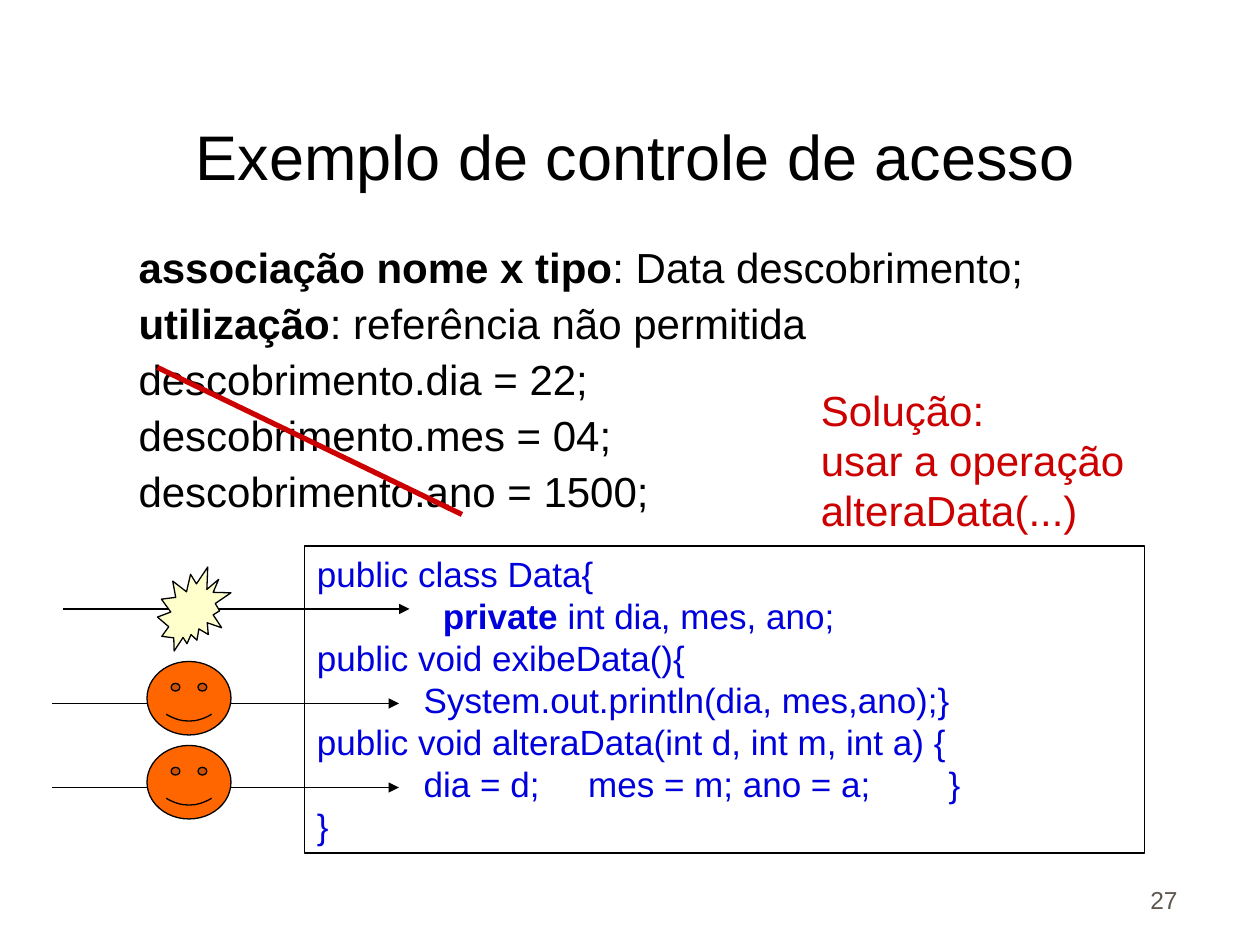
from lxml import etree
from pptx import Presentation
from pptx.dml.color import RGBColor
from pptx.enum.shapes import MSO_CONNECTOR as Link, MSO_SHAPE as Kind
from pptx.enum.text import MSO_ANCHOR as Anchor, PP_ALIGN as Align
from pptx.oxml.ns import qn
from pptx.util import Pt

BLACK = RGBColor(0x00, 0x00, 0x00)
BLUE = RGBColor(0x00, 0x00, 0xDD)
RED = RGBColor(0xCC, 0x00, 0x00)
GRAY = RGBColor(0x5E, 0x57, 0x4E)
CREAM = RGBColor(0xFF, 0xFF, 0xCC)
ORANGE = RGBColor(0xFF, 0x66, 0x00)

BODY = [
    [("associação nome x tipo", True), (": Data descobrimento;", False)],
    [("utilização", True), (": referência não permitida", False)],
    [("descobrimento.dia = 22;", False)],
    [("descobrimento.mes = 04;", False)],
    [("descobrimento.ano = 1500;", False)],
]
CODE = [
    [("public class Data{", False)],
    [("\t", False), ("private", True), (" int dia, mes, ano;", False)],
    [("public void exibeData(){", False)],
    [("           System.out.println(dia, mes,ano);}", False)],
    [("public void alteraData(int d, int m, int a) {", False)],
    [("           dia = d;\tmes = m; ano = a;\t}", False)],
    [("}", False)],
]
HINT = [[(line, False)] for line in
        ("Solução:", "usar a operação", "alteraData(...)")]


def style(para, size, color):
    para.font.name = "Arial"
    para.font.size = Pt(size)
    para.font.color.rgb = color


def add_tabs(para, stops):
    tabs = etree.SubElement(para._p.get_or_add_pPr(), qn("a:tabLst"))
    for stop in stops:
        etree.SubElement(tabs, qn("a:tab"), pos=str(Pt(stop)), algn="l")


def add_text(slide, box, lines, size, color, wrap=True, gap=0, space=None, stops=()):
    shape = slide.shapes.add_textbox(*map(Pt, box))
    frame = shape.text_frame
    frame.word_wrap = wrap
    for i, line in enumerate(lines):
        para = frame.add_paragraph() if i else frame.paragraphs[0]
        if i and gap:
            para.space_before = Pt(gap)
        if space:
            para.line_spacing = space
        if stops:
            add_tabs(para, stops)
        style(para, size, color)
        for text, bold in line:
            run = para.add_run()
            run.text = text
            if bold:
                run.font.bold = True
    return shape


def add_line(slide, start, end, color, width, arrow=False):
    line = slide.shapes.add_connector(Link.STRAIGHT, *map(Pt, start + end))
    line.line.color.rgb = color
    line.line.width = Pt(width)
    if arrow:
        stroke = line._element.spPr.find(qn("a:ln"))
        etree.SubElement(stroke, qn("a:tailEnd"), type="triangle")
    etree.SubElement(line._element.spPr, qn("a:effectLst"))


def add_mark(slide, kind, box, fill):
    mark = slide.shapes.add_shape(kind, *map(Pt, box))
    mark.shadow.inherit = False
    mark.fill.solid()
    mark.fill.fore_color.rgb = fill
    mark.line.color.rgb = BLACK
    mark.line.width = Pt(0.75)
    return mark


def add_title(slide, box):
    title = slide.shapes.title
    title.left, title.top, title.width, title.height = map(Pt, box)
    frame = title.text_frame
    frame.text = "Exemplo de controle de acesso"
    frame.vertical_anchor = Anchor.BOTTOM
    para = frame.paragraphs[0]
    para.alignment = Align.CENTER
    style(para, 36, BLACK)


def add_body(slide, box):
    shape = add_text(slide, box, BODY, 24, BLACK, gap=6, space=0.9)
    shape.text_frame.margin_left = Pt(43.2)
    x, y = box[:2]
    add_line(slide, (x + 54, y + 72), (x + 228, y + 156), RED, 3)


def add_code(slide, box):
    shape = add_text(slide, box, CODE, 20, BLUE, stops=(72, 155, 361))
    shape.line.color.rgb = BLACK
    shape.line.width = Pt(0.75)


def add_calls(slide, box):
    x, y, wide = box[:3]
    for shift, drop in ((6, 24), (0, 78), (0, 126)):
        add_line(slide, (x + shift, y + drop), (x + shift + wide, y + drop),
                 BLACK, 0.75, arrow=True)
    add_mark(slide, Kind.EXPLOSION2, (x + 60, y, 42, 48), CREAM)
    for drop in (54, 102):
        face = add_mark(slide, Kind.SMILEY_FACE, (x + 54, y + drop, 48, 42), ORANGE)
        face.adjustments[0] = 0.09


def add_number(slide, box):
    shape = add_text(slide, box, [[("27", False)]], 14, GRAY)
    shape.text_frame.vertical_anchor = Anchor.BOTTOM
    shape.text_frame.paragraphs[0].alignment = Align.RIGHT


def main():
    deck = Presentation()
    deck.slide_width, deck.slide_height = Pt(720), Pt(540)
    slide = deck.slides.add_slide(deck.slide_layouts[5])
    add_title(slide, (12, 36, 702, 78))
    add_code(slide, (174, 312, 480, 175.5))
    add_calls(slide, (30, 324, 198, 150))
    add_body(slide, (36, 138, 642, 169))
    add_text(slide, (462, 216, 194.5, 93.6), HINT, 24, RED, wrap=False)
    add_number(slide, (530, 490, 150, 36))
    deck.save("out.pptx")


if __name__ == "__main__":
    main()
